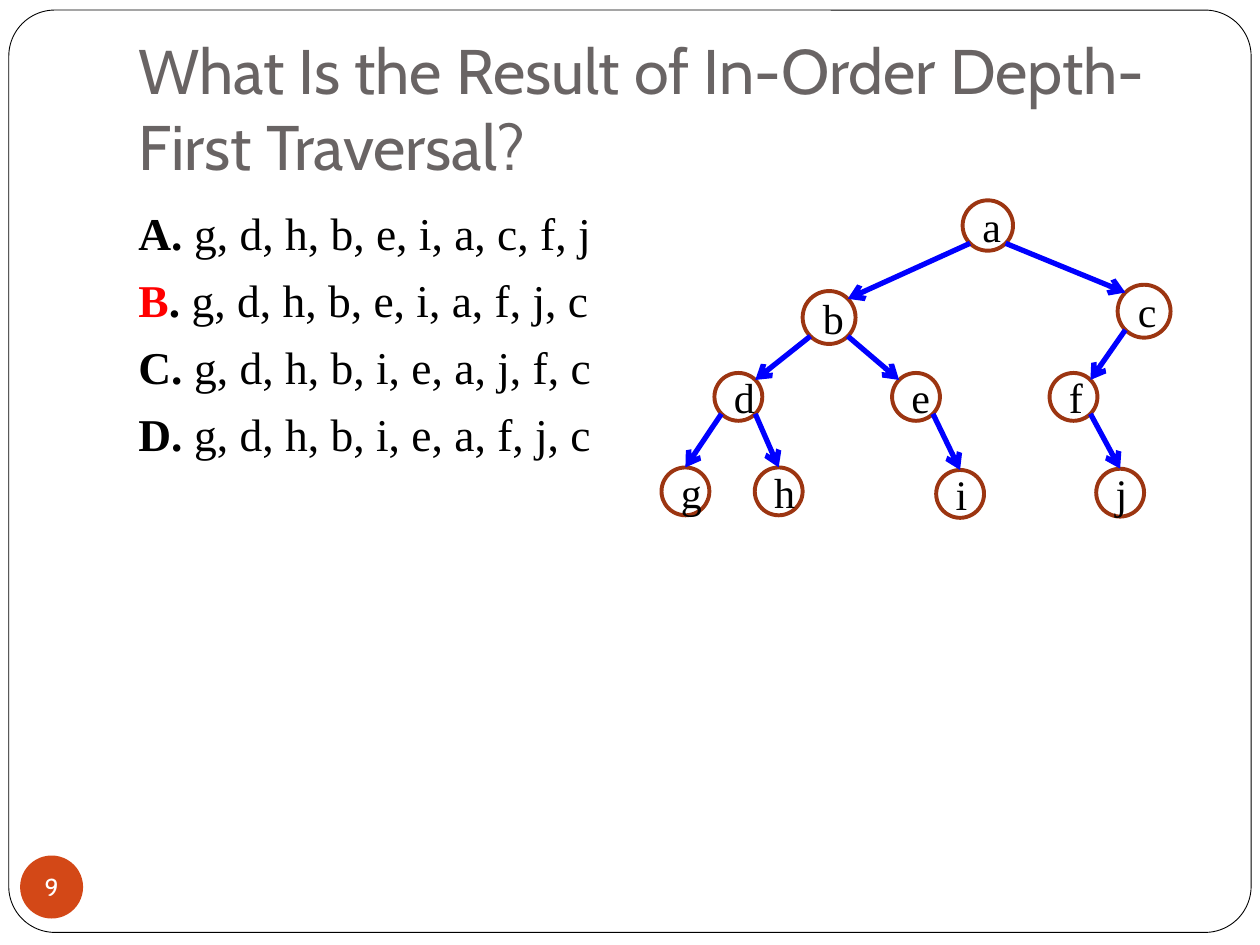
from dataclasses import dataclass
from math import sqrt

from lxml import etree
from pptx import Presentation
from pptx.dml.color import RGBColor
from pptx.enum.shapes import MSO_CONNECTOR, MSO_SHAPE
from pptx.enum.text import MSO_ANCHOR, MSO_AUTO_SIZE, PP_ALIGN
from pptx.oxml.ns import qn
from pptx.util import Inches, Pt

ELLIPSE = MSO_SHAPE.OVAL
ROUNDED = MSO_SHAPE.ROUNDED_RECTANGLE
STRAIGHT = MSO_CONNECTOR.STRAIGHT
CENTER, LEFT = PP_ALIGN.CENTER, PP_ALIGN.LEFT
MIDDLE, BOTTOM = MSO_ANCHOR.MIDDLE, MSO_ANCHOR.BOTTOM
TITLE_ONLY = 5
DIAGONAL = 1 / sqrt(2)


@dataclass(frozen=True)
class Theme:
    heading_font: str = "Cabin"
    body_font: str = "Times New Roman"
    white: RGBColor = RGBColor(0xFF, 0xFF, 0xFF)
    black: RGBColor = RGBColor(0, 0, 0)
    title: RGBColor = RGBColor(0x69, 0x64, 0x64)
    badge: RGBColor = RGBColor(0xD3, 0x48, 0x17)
    correct: RGBColor = RGBColor(0xFF, 0, 0)
    node: RGBColor = RGBColor(0x9C, 0x35, 0x11)
    edge: RGBColor = RGBColor(0, 0, 0xFF)
    title_size: int = 36
    answer_size: int = 26
    node_size: int = 24
    badge_size: int = 14


@dataclass(frozen=True)
class Node:
    label: str
    left: float
    top: float
    size: float = 0.38
    is_leaf: bool = False

    def diagonal_point(self, x_side: int, y_side: int) -> tuple[float, float]:
        """Return the point on the circle at 45 degrees; sides are -1 or 1."""
        radius = self.size / 2
        return (self.left + radius * (1 + x_side * DIAGONAL),
                self.top + radius * (1 + y_side * DIAGONAL))

    def entry_point(self, x_side: int) -> tuple[float, float]:
        """Return where the arrow from the parent ends."""
        if self.is_leaf:
            return self.left + self.size / 2, self.top
        return self.diagonal_point(x_side, -1)


@dataclass(frozen=True)
class Answer:
    letter: str
    order: str
    correct: bool = False


THEME = Theme()
ANSWERS = [
    Answer("A", "g, d, h, b, e, i, a, c, f, j"),
    Answer("B", "g, d, h, b, e, i, a, f, j, c", correct=True),
    Answer("C", "g, d, h, b, i, e, a, j, f, c"),
    Answer("D", "g, d, h, b, i, e, a, f, j, c"),
]
NODES = [
    Node("a", 7.64, 1.59, 0.4),
    Node("b", 6.37, 2.31, 0.42),
    Node("c", 8.87, 2.26, 0.42),
    Node("d", 5.67, 2.96),
    Node("e", 7.08, 2.96),
    Node("f", 8.33, 2.96),
    Node("g", 5.25, 3.71, is_leaf=True),
    Node("h", 5.99, 3.71, is_leaf=True),
    Node("i", 7.43, 3.73, is_leaf=True),
    Node("j", 8.7, 3.72, is_leaf=True),
]
EDGES = ["ab", "ac", "bd", "be", "cf", "dg", "dh", "ei", "fj"]


def style_run(run, font: str, size: int, color: RGBColor, bold: bool = False) -> None:
    run.font.name = font
    run.font.size = Pt(size)
    run.font.color.rgb = color
    run.font.bold = bold


def add_centered_text(shape, text: str, font: str, size: int, color: RGBColor) -> None:
    frame = shape.text_frame
    frame.text = text
    frame.vertical_anchor = MIDDLE
    paragraph = frame.paragraphs[0]
    paragraph.alignment = CENTER
    style_run(paragraph.runs[0], font, size, color)


def add_border(slide) -> None:
    border = slide.shapes.add_shape(
        ROUNDED, Inches(0.07), Inches(0.08), Inches(9.86), Inches(7.32))
    border.adjustments[0] = 0.05
    border.shadow.inherit = False
    border.fill.solid()
    border.fill.fore_color.rgb = THEME.white
    border.line.color.rgb = THEME.black
    border.line.width = Pt(0.5)
    slide.shapes.title._element.addprevious(border._element)


def set_title(slide, text: str) -> None:
    title = slide.shapes.title
    title.left, title.top = Inches(1), Inches(0.3)
    title.width, title.height = Inches(8.5), Inches(1.25)
    frame = title.text_frame
    frame.text = text
    frame.auto_size = MSO_AUTO_SIZE.NONE
    frame.vertical_anchor = BOTTOM
    frame.margin_bottom = Inches(0.1)
    paragraph = frame.paragraphs[0]
    paragraph.alignment = LEFT
    style_run(paragraph.runs[0], THEME.heading_font, THEME.title_size, THEME.title)


def add_page_badge(slide, number: str) -> None:
    badge = slide.shapes.add_shape(
        ELLIPSE, Inches(0.16), Inches(6.79), Inches(0.5), Inches(0.5))
    badge.shadow.inherit = False
    badge.fill.solid()
    badge.fill.fore_color.rgb = THEME.badge
    badge.line.fill.background()
    add_centered_text(badge, number, THEME.heading_font, THEME.badge_size, THEME.white)
    frame = badge.text_frame
    frame.word_wrap = False
    frame.margin_left = frame.margin_right = frame.margin_top = frame.margin_bottom = 0


def add_answers(slide, answers: list[Answer]) -> None:
    frame = slide.shapes.add_textbox(
        Inches(1), Inches(1.58), Inches(8.5), Inches(5)).text_frame
    frame.word_wrap = True
    for index, answer in enumerate(answers):
        paragraph = frame.add_paragraph() if index else frame.paragraphs[0]
        paragraph.space_before = Pt(7)
        letter_color = THEME.correct if answer.correct else THEME.black
        for text, color, bold in ((answer.letter, letter_color, True),
                                  (".", THEME.black, True),
                                  (f" {answer.order}", THEME.black, False)):
            run = paragraph.add_run()
            run.text = text
            style_run(run, THEME.body_font, THEME.answer_size, color, bold)


def add_node(tree, node: Node) -> None:
    circle = tree.shapes.add_shape(
        ELLIPSE, Inches(node.left), Inches(node.top), Inches(node.size), Inches(node.size))
    circle.shadow.inherit = False
    circle.fill.background()
    circle.line.color.rgb = THEME.node
    circle.line.width = Pt(2.25)
    add_centered_text(circle, node.label, THEME.body_font, THEME.node_size, THEME.black)


def add_edge(tree, parent: Node, child: Node) -> None:
    side = 1 if child.left > parent.left else -1
    start, end = parent.diagonal_point(side, 1), child.entry_point(-side)
    arrow = tree.shapes.add_connector(STRAIGHT, *map(Inches, start + end))
    arrow.line.color.rgb = THEME.edge
    arrow.line.width = Pt(3)
    etree.SubElement(arrow.line._get_or_add_ln(), qn("a:tailEnd"), type="arrow")
    etree.SubElement(arrow._element.spPr, qn("a:effectLst"))


def main() -> None:
    presentation = Presentation()
    presentation.slide_width, presentation.slide_height = Inches(10), Inches(7.5)
    slide = presentation.slides.add_slide(presentation.slide_layouts[TITLE_ONLY])
    add_border(slide)
    set_title(slide, "What Is the Result of In-Order Depth-First Traversal?")
    add_page_badge(slide, "9")
    add_answers(slide, ANSWERS)

    tree = slide.shapes.add_group_shape()
    nodes = {node.label: node for node in NODES}
    for node in NODES:
        add_node(tree, node)
    for parent, child in EDGES:
        add_edge(tree, nodes[parent], nodes[child])
    presentation.save("out.pptx")


if __name__ == "__main__":
    main()
